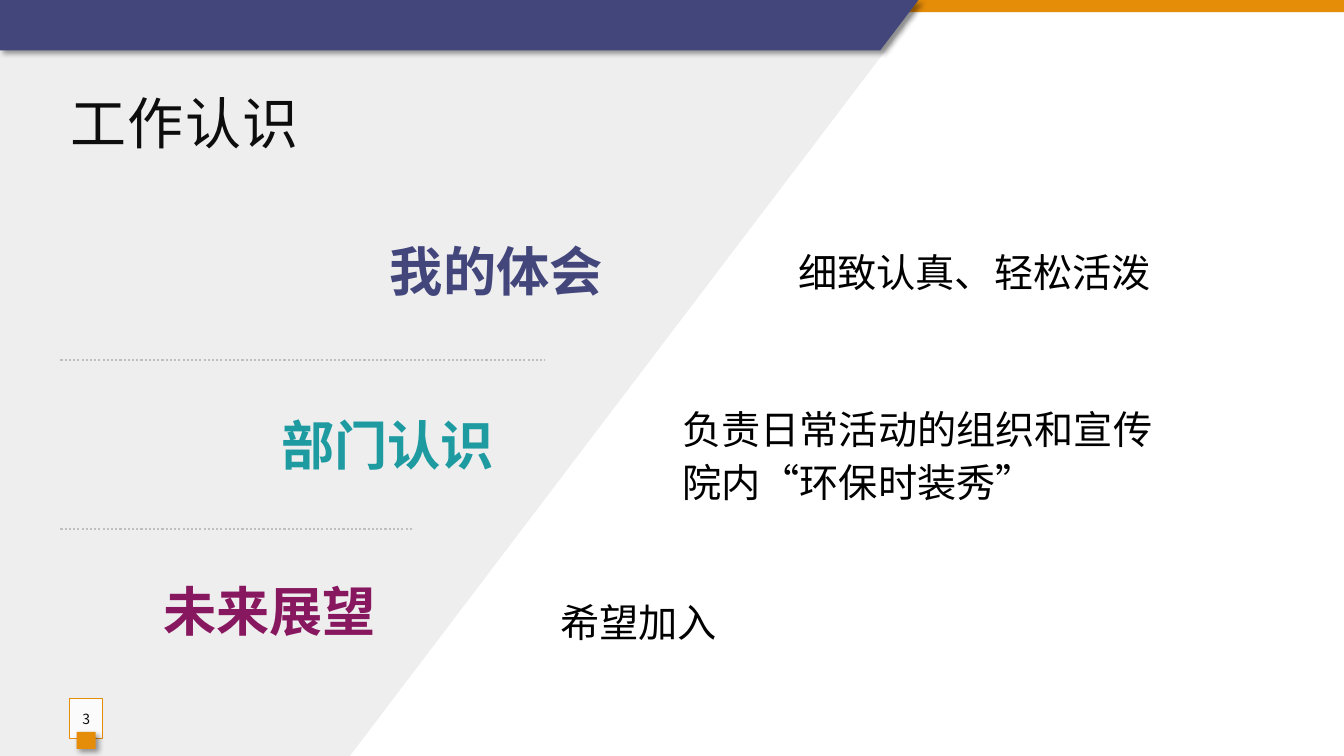
"""Builds the work insights slide with three topics beside a slanted panel."""
import pptx
import pptx.dml.color
import pptx.enum.dml
import pptx.enum.shapes
import pptx.enum.text
import pptx.oxml
import pptx.oxml.ns
import pptx.util

Inches = pptx.util.Inches
Pt = pptx.util.Pt
ALIGN = pptx.enum.text.PP_ALIGN
ANCHOR = pptx.enum.text.MSO_ANCHOR
RECTANGLE = pptx.enum.shapes.MSO_SHAPE.RECTANGLE
NAVY, ORANGE, TEAL, PLUM = "43467B", "E58C09", "1D9BA1", "87175F"
PANEL, RULE, INK, BLACK, WHITE = "EEEEEE", "BFBFBF", "0D0D0D", "000000", "FFFFFF"
SHADOW = (
    f'<a:outerShdw {pptx.oxml.ns.nsdecls("a")} blurRad="50800" dist="38100" dir="2700000">'
    '<a:srgbClr val="000000"><a:alpha val="40000"/></a:srgbClr></a:outerShdw>'
)


def color(value):
    return pptx.dml.color.RGBColor.from_string(value)


def add_xml(parent, tag, **attributes):
    child = parent.makeelement(pptx.oxml.ns.qn(tag), attributes)
    parent.append(child)
    return child


class Deck:
    font = "Noto Sans CJK SC"

    def __init__(self):
        self.presentation = pptx.Presentation()
        self.presentation.slide_width = Inches(13.33)
        self.presentation.slide_height = Inches(7.5)
        self.slide = self.presentation.slides.add_slide(self.presentation.slide_layouts[5])
        self.shapes = self.slide.shapes

    def paint(self, shape, fill, shadow=False):
        shape.fill.solid()
        shape.fill.fore_color.rgb = color(fill)
        shape.line.fill.background()
        shape.shadow.inherit = False
        if shadow:
            effects = shape._element.spPr.find(pptx.oxml.ns.qn("a:effectLst"))
            effects.append(pptx.oxml.parse_xml(SHADOW))
        return shape

    def rectangle(self, left, top, width, height, fill, shadow=False):
        box = map(Inches, (left, top, width, height))
        return self.paint(self.shapes.add_shape(RECTANGLE, *box), fill, shadow)

    def polygon(self, points, fill, shadow=False):
        start, *rest = [(Inches(x), Inches(y)) for x, y in points]
        outline = self.shapes.build_freeform(*start)
        outline.add_line_segments(rest, close=True)
        return self.paint(outline.convert_to_shape(), fill, shadow)

    def fill_text(self, shape, lines, size, ink, bold=False, align=ALIGN.LEFT,
                  anchor=ANCHOR.MIDDLE, spacing=0.9, before=5.5, after=2):
        frame = shape.text_frame
        frame.word_wrap = True
        frame.vertical_anchor = anchor
        frame.auto_size = pptx.enum.text.MSO_AUTO_SIZE.NONE
        for number, line in enumerate(lines):
            paragraph = frame.add_paragraph() if number else frame.paragraphs[0]
            paragraph_format = {
                "alignment": align,
                "line_spacing": spacing,
                "space_before": Pt(before if number else 0),
                "space_after": Pt(after),
            }
            for name, value in paragraph_format.items():
                setattr(paragraph, name, value)
            run = paragraph.add_run()
            run.text = line
            font_format = {"size": Pt(size), "bold": bold, "name": self.font}
            for name, value in font_format.items():
                setattr(run.font, name, value)
            run.font.color.rgb = color(ink)
            add_xml(run._r.get_or_add_rPr(), "a:ea", typeface=self.font)
        return frame

    def text(self, left, top, width, height, lines, size, ink, **style):
        box = self.shapes.add_textbox(*map(Inches, (left, top, width, height)))
        self.fill_text(box, lines, size, ink, **style)

    def title(self, left, top, width, height, line):
        title = self.shapes.title
        place = {"left": left, "top": top, "width": width, "height": height}
        for name, value in place.items():
            setattr(title, name, Inches(value))
        frame = self.fill_text(title, [line], 40, INK, anchor=ANCHOR.TOP, after=0)
        frame.paragraphs[0].runs[0]._r.get_or_add_rPr().set("spc", "100")
        self.shapes._spTree.append(title._element)

    def page_number(self, left, top, width, height, number):
        badge = self.rectangle(left, top, width, height, WHITE)
        fill = badge._element.spPr.find(pptx.oxml.ns.qn("a:solidFill"))
        add_xml(fill[0], "a:alpha", val="82000")
        badge.line.color.rgb = color(ORANGE)
        badge.line.width = Pt(0.75)
        frame = self.fill_text(badge, [number], 10, INK, align=ALIGN.CENTER, spacing=1, after=0)
        frame.margin_left = frame.margin_right = 0

    def dotted_rule(self, left, right, top):
        ends = map(Inches, (left, top, right, top))
        rule = self.shapes.add_connector(pptx.enum.shapes.MSO_CONNECTOR.STRAIGHT, *ends)
        rule.line.color.rgb = color(RULE)
        rule.line.width = Pt(1.5)
        rule.line.dash_style = pptx.enum.dml.MSO_LINE.ROUND_DOT
        add_xml(rule._element.spPr, "a:effectLst")


def main():
    deck = Deck()
    deck.polygon([(0, 0), (9.11, 0), (9.11, 0.07), (3.47, 7.5), (0, 7.5)], PANEL)
    deck.rectangle(0, 0, 13.33, 0.12, ORANGE)
    deck.polygon([(0, 0), (9.11, 0), (8.73, 0.5), (0, 0.5)], NAVY, shadow=True)
    deck.title(0.6, 0.9, 11.82, 1.4, "工作认识")

    topics = [
        ("我的体会", NAVY, (0.68, 2.49, 5.4), (7.82, 2.23, 4.72), ["细致认真、轻松活泼"]),
        ("部门认识", TEAL, (0.6, 4.22, 4.4), (6.67, 4.05, 5.9),
         ["负责日常活动的组织和宣传", "院内“环保时装秀”"]),
        ("未来展望", PLUM, (0.6, 5.86, 3.23), (5.46, 5.7, 7.12), ["希望加入"]),
    ]
    for heading, ink, heading_place, detail_place, details in topics:
        deck.text(*detail_place, 1, details, 28, BLACK)
        deck.text(*heading_place, 0.46, [heading], 38, ink, bold=True, align=ALIGN.RIGHT)

    deck.page_number(0.69, 6.93, 0.33, 0.4, "3")
    deck.rectangle(0.76, 7.26, 0.19, 0.17, ORANGE, shadow=True)
    for right, top in [(5.4, 3.57), (4.1, 5.25)]:
        deck.dotted_rule(0.6, right, top)
    deck.presentation.save("out.pptx")


if __name__ == "__main__":
    main()
